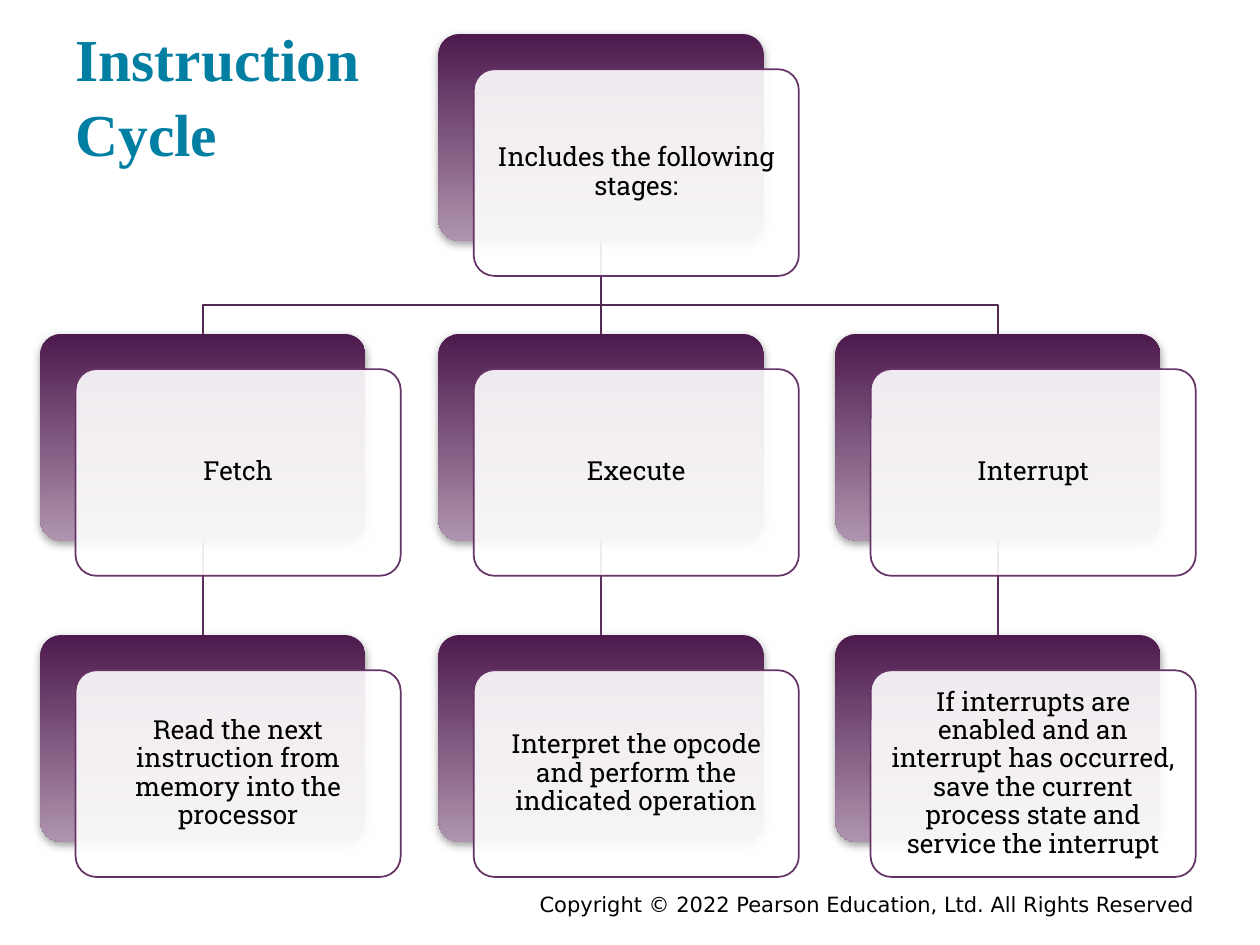
from dataclasses import dataclass

from lxml import etree
from pptx import Presentation
from pptx.dml.color import RGBColor
from pptx.enum import shapes, text
from pptx.oxml import parse_xml
from pptx.oxml.ns import nsdecls, qn
from pptx.util import Inches, Pt


@dataclass(frozen=True)
class Theme:
    title: RGBColor = RGBColor(0x00, 0x7F, 0xA3)
    text: RGBColor = RGBColor(0x00, 0x00, 0x00)
    card: RGBColor = RGBColor(0xFF, 0xFF, 0xFF)
    card_line: RGBColor = RGBColor(0x66, 0x33, 0x66)
    grad_top: RGBColor = RGBColor(0x4D, 0x1A, 0x4D)
    grad_bottom: RGBColor = RGBColor(0xAF, 0x94, 0xAF)
    branch: RGBColor = RGBColor(0x52, 0x29, 0x52)
    stem: RGBColor = RGBColor(0x5D, 0x2E, 0x5D)
    title_font: str = "Times New Roman"
    card_font: str = "Roboto Slab"
    footer_font: str = "DejaVu Sans"
    title_size: Pt = Pt(34)
    card_size: Pt = Pt(15)
    footer_size: Pt = Pt(12)


T = Theme()
SHADOW = (f'<a:outerShdw {nsdecls("a")} blurRad="{Pt(5)}" dist="{Pt(2)}" dir="5400000" '
          'rotWithShape="0"><a:srgbClr val="808080"><a:alpha val="75000"/></a:srgbClr>'
          '</a:outerShdw>')

# Three columns and three levels; each node is a back plate and an offset card
COLS = [0.32, 3.48, 6.63]
ROWS = [0.27, 2.65, 5.04]
W, H = 2.58, 1.64
DX, DY = 0.28, 0.28
BRANCH_Y = 2.42
STAGES = [
    ("Fetch", "Read the next instruction from memory into the processor"),
    ("Execute", "Interpret the opcode and perform the indicated operation"),
    ("Interrupt", "If interrupts are enabled and an interrupt has occurred, "
                  "save the current process state and service the interrupt"),
]


def add_run(p, words, font, size, color, bold=False):
    r = p.add_run()
    r.text = words
    r.font.name, r.font.size, r.font.bold = font, size, bold
    r.font.color.rgb = color


def add_node(s, x, y, words):
    """Draw a shaded plate with a translucent text card over its lower right."""
    plate, card = (
        s.shapes.add_shape(shapes.MSO_SHAPE.ROUNDED_RECTANGLE, Inches(x + dx),
                           Inches(y + dy), Inches(W), Inches(H))
        for dx, dy in ((0, 0), (DX, DY)))
    for sp in (plate, card):
        sp.adjustments[0] = 0.1
        sp.shadow.inherit = False

    plate.fill.gradient()
    plate.fill.gradient_angle = 270
    for stop, color, pos in zip(plate.fill.gradient_stops,
                                (T.grad_top, T.grad_bottom), (0, 1)):
        stop.color.rgb = color
        stop.position = pos
    plate.line.fill.background()
    plate._element.spPr.find(qn("a:effectLst")).append(parse_xml(SHADOW))

    card.fill.solid()
    card.fill.fore_color.rgb = T.card
    fill_color = card._element.spPr.find(qn("a:solidFill")).find(qn("a:srgbClr"))
    etree.SubElement(fill_color, qn("a:alpha")).set("val", "90000")
    card.line.color.rgb = T.card_line
    card.line.width = Pt(1)

    tf = card.text_frame
    tf.word_wrap = True
    tf.vertical_anchor = text.MSO_ANCHOR.MIDDLE
    tf.margin_left = tf.margin_right = tf.margin_top = tf.margin_bottom = Inches(0.1)
    p = tf.paragraphs[0]
    p.alignment = text.PP_ALIGN.CENTER
    p.line_spacing = 0.9
    add_run(p, words, T.card_font, T.card_size, T.text)


prs = Presentation()
prs.slide_width, prs.slide_height = Inches(10), Inches(7.5)
s = prs.slides.add_slide(prs.slide_layouts[5])

# Title
title = s.shapes.title
title.left, title.top, title.width, title.height = (
    Inches(0.5), Inches(0.24), Inches(9), Inches(1.2))
tf = title.text_frame
tf.word_wrap = True
tf.auto_size = text.MSO_AUTO_SIZE.NONE
tf.vertical_anchor = text.MSO_ANCHOR.BOTTOM
tf.margin_left = tf.margin_right = tf.margin_top = tf.margin_bottom = Inches(0.1)
p = tf.paragraphs[0]
p.alignment = text.PP_ALIGN.LEFT
p.line_spacing = 1.05
add_run(p, "Instruction", T.title_font, T.title_size, T.title, bold=True)
p.add_line_break()
add_run(p, "Cycle", T.title_font, T.title_size, T.title, bold=True)

# Footer
footer = s.shapes.add_textbox(Inches(1.75), Inches(7.03), Inches(7.83), Inches(0.22))
tf = footer.text_frame
tf.word_wrap = True
p = tf.paragraphs[0]
p.alignment = text.PP_ALIGN.RIGHT
add_run(p, "Copyright © 2022 Pearson Education, Ltd. All Rights Reserved",
        T.footer_font, T.footer_size, T.text)

# Elbow branches from the root to the outer columns
root_x = COLS[1] + W / 2
for col in (COLS[0], COLS[2]):
    end_x = col + W / 2
    route = [(root_x, BRANCH_Y), (end_x, BRANCH_Y), (end_x, ROWS[1])]
    fb = s.shapes.build_freeform(Inches(root_x), Inches(ROWS[0] + H))
    fb.add_line_segments([(Inches(x), Inches(y)) for x, y in route], close=False)
    branch = fb.convert_to_shape()
    branch.fill.background()
    branch.line.color.rgb = T.branch
    branch.line.width = Pt(1)
    branch.shadow.inherit = False

# Straight stems: root to middle column, then each stage to its detail
stems = [(COLS[1], 0, T.branch)] + [(col, 1, T.stem) for col in COLS]
for col, level, color in stems:
    x = Inches(col + W / 2)
    stem = s.shapes.add_connector(shapes.MSO_CONNECTOR.STRAIGHT, x,
                                  Inches(ROWS[level] + H), x, Inches(ROWS[level + 1]))
    stem.line.color.rgb = color
    stem.line.width = Pt(1)
    etree.SubElement(stem._element.spPr, qn("a:effectLst"))

# Nodes
add_node(s, COLS[1], ROWS[0], "Includes the following stages:")
for col, stage in zip(COLS, STAGES):
    for row, words in zip(ROWS[1:], stage):
        add_node(s, col, row, words)

prs.save("out.pptx")
